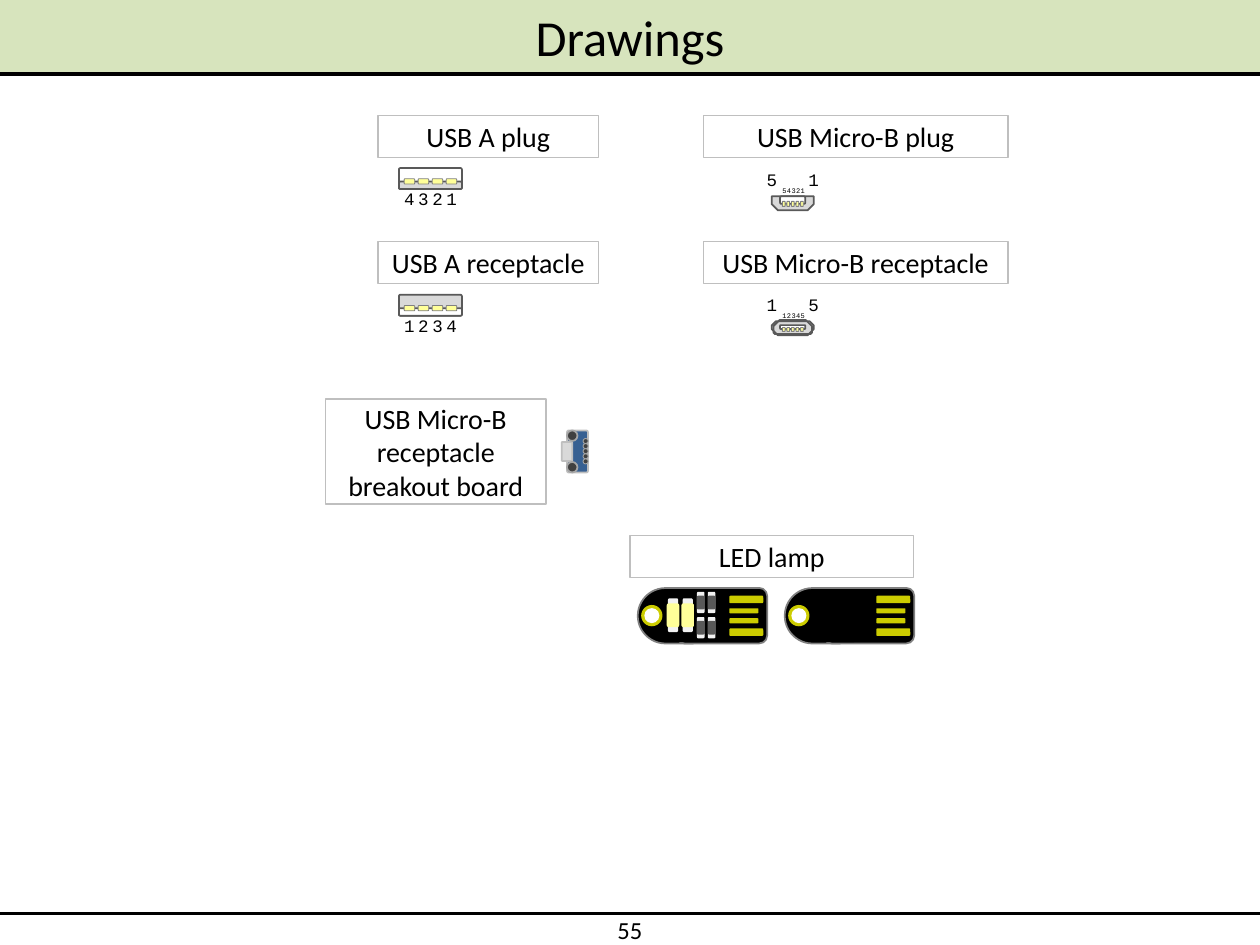
from dataclasses import dataclass
from pptx import Presentation
from pptx.dml.color import RGBColor
from pptx.enum.shapes import MSO_CONNECTOR, MSO_SHAPE as SHAPE
from pptx.enum.text import MSO_ANCHOR as ANCHOR, PP_ALIGN as ALIGN
from pptx.oxml.ns import qn
from pptx.util import Pt
from lxml.etree import SubElement


@dataclass(frozen=True)
class Theme:
    font: str = "Calibri"
    mono: str = "Courier New"
    title_size: float = 28.8
    label_size: float = 16
    number_size: float = 14
    digit_size: float = 10
    tiny_size: float = 4
    black: str = "000000"
    white: str = "FFFFFF"
    band: str = "D7E4BD"
    frame: str = "BFBFBF"
    metal: str = "D9D9D9"
    outline: str = "595959"
    contact: str = "FFFF99"
    edge: str = "808080"
    board: str = "376092"
    hole: str = "404040"
    hole_edge: str = "A6A6A6"
    gold: str = "CCCC00"
    cap: str = "F2F2F2"


T = Theme()


def rgb(color):
    return RGBColor.from_string(color)


def write(sp, text, size, font=T.font, wrap=True):
    tf = sp.text_frame
    tf.text = text
    tf.word_wrap = wrap
    tf.vertical_anchor = ANCHOR.MIDDLE
    tf.margin_left = tf.margin_top = tf.margin_right = tf.margin_bottom = 0
    for p in tf.paragraphs:
        p.alignment = ALIGN.CENTER
        p.font.name, p.font.size = font, Pt(size)
        p.font.color.rgb = rgb(T.black)


def add_shape(parent, kind, x, y, w, h, fill=None, line=None, weight=1, adj=()):
    sp = parent.shapes.add_shape(kind, Pt(x), Pt(y), Pt(w), Pt(h))
    sp.shadow.inherit = False
    if fill:
        sp.fill.solid()
        sp.fill.fore_color.rgb = rgb(fill)
    else:
        sp.fill.background()
    if line:
        sp.line.color.rgb = rgb(line)
        sp.line.width = Pt(weight)
    else:
        sp.line.fill.background()
    for i, value in enumerate(adj):
        sp.adjustments[i] = value
    return sp


def add_text(parent, text, x, y, w, h, size, font=T.mono):
    box = parent.shapes.add_textbox(Pt(x), Pt(y), Pt(w), Pt(h))
    write(box, text, size, font, wrap=False)


def add_label(slide, text, x, y, w, h=24):
    sp = add_shape(slide, SHAPE.RECTANGLE, x, y, w, h, T.white, T.frame)
    write(sp, text, T.label_size)


def add_rule(slide, y, weight):
    line = slide.shapes.add_connector(MSO_CONNECTOR.STRAIGHT, 0, Pt(y), Pt(720), Pt(y))
    line.line.color.rgb = rgb(T.black)
    line.line.width = Pt(weight)
    SubElement(line._element.spPr, qn("a:effectLst"))


def add_title(slide, text):
    title = slide.shapes.title
    title.left, title.top, title.width, title.height = 0, 0, Pt(720), Pt(41.8)
    title.fill.solid()
    title.fill.fore_color.rgb = rgb(T.band)
    write(title, text, T.title_size)


def add_usb_a(slide, top, digits, shell, tongue):
    group = slide.shapes.add_group_shape()
    add_shape(group, SHAPE.ROUNDED_RECTANGLE, 228, top, 36, 12, shell, T.outline, adj=[0.075])
    add_shape(group, SHAPE.ROUNDED_RECTANGLE, 228, top + 7.8, 36, 4.2, tongue, T.outline)
    for i, digit in enumerate(digits):
        x = 231 + 8 * i
        add_shape(group, SHAPE.ROUNDED_RECTANGLE, x, top + 6.2, 6, 3, T.contact, T.edge, 0.5)
        add_text(group, digit, x, top + 11.4, 6, 12, T.digit_size)


def add_micro_b(slide, top, digits, notch, cavity, contact, hood=False):
    group = slide.shapes.add_group_shape()
    shell = add_shape(group, SHAPE.SNIP_2_SAME_RECTANGLE, 441, top, 24, 8,
                      T.metal, T.outline, adj=[0.443, notch])
    shell.rotation = 180
    dy, h = cavity
    add_shape(group, SHAPE.ROUNDED_RECTANGLE, 445.8, top + dy, 14.4, h, T.white, T.outline)
    dy, h = contact
    for i, digit in enumerate(digits):
        x = 447.1 + 2.6 * i
        add_text(group, digit, x, top - 4.6, 1.5, 2.9, T.tiny_size)
        add_shape(group, SHAPE.ROUNDED_RECTANGLE, x, top + dy, 1.5, h, T.contact, T.edge, 0.5)
    if hood:
        add_shape(group, SHAPE.SNIP_2_SAME_RECTANGLE, 442, top - 0.7, 22, 8,
                  line=T.outline, adj=[0.443, 0.095])
    for x, digit in ((438, digits[0]), (462, digits[-1])):
        add_text(group, digit, x, top - 15.8, 6, 12, T.digit_size)


def add_breakout(slide, x, y):
    group = slide.shapes.add_group_shape()
    add_shape(group, SHAPE.ROUNDED_RECTANGLE, x, y, 12, 24, T.board, T.frame, adj=[0.079])
    add_shape(group, SHAPE.ROUNDED_RECTANGLE, x - 3, y + 6.6, 6, 10.8, T.metal, T.frame, adj=[0.079])
    for dy in (18, 0):
        add_shape(group, SHAPE.OVAL, x, y + dy, 6, 6, T.hole, T.hole_edge)
    for i in range(5):
        add_shape(group, SHAPE.OVAL, x + 9.2, y + 4.6 + 2.9 * i, 2.9, 2.9, T.hole, T.hole_edge, 0.5)


def add_lamp(slide, x, y, parts):
    group = slide.shapes.add_group_shape()

    def part(dx, dy, w, h, fill, kind=SHAPE.ROUNDED_RECTANGLE, **style):
        return add_shape(group, kind, x + dx, y + dy, w, h, fill, **style)

    part(0, 0, 31.7, 31.7, T.black, SHAPE.FLOWCHART_DELAY, line=T.edge).rotation = 180
    part(22.2, 0, 51.8, 31.7, T.black, line=T.edge, adj=[0.141])
    for dy in (13, 0.7):
        part(15.9, dy, 23.8, 18, T.black, SHAPE.RECTANGLE)
    for dy, w, h in ((4.4, 19.4, 4.3), (11.6, 16.6, 2.9), (17.3, 16.6, 2.9), (23.1, 19.4, 4.3)):
        part(52.4, dy, w, h, T.gold)
    if parts:
        for dx in (33.9, 40.1):
            for dy in (2.2, 16.6):
                part(dx, dy, 4.3, 12.2, T.cap)
                part(dx, dy + 2.2, 4.3, 7.8, T.outline)
        for dx in (17.3, 25.7):
            part(dx, 5.9, 5.8, 19.4, T.cap)
            part(dx - 0.7, 8.8, 7.2, 13.6, T.contact)
    part(2, 9.7, 12.2, 12.2, T.gold, SHAPE.OVAL)
    part(3.8, 11.5, 8.6, 8.6, T.white, SHAPE.OVAL)


def main():
    prs = Presentation()
    prs.slide_width, prs.slide_height = Pt(720), Pt(540)
    slide = prs.slides.add_slide(prs.slide_layouts[5])
    add_title(slide, "Drawings")
    add_rule(slide, 42.5, 2.25)
    add_rule(slide, 522, 2)
    add_text(slide, "55", 334, 522.7, 52, 17.3, T.number_size, T.font)

    for x, w, connector in ((216, 126, "USB A"), (402, 174, "USB Micro-B")):
        for y, side in ((66, "plug"), (138, "receptacle")):
            add_label(slide, f"{connector} {side}", x, y, w)
    add_label(slide, "USB Micro-B\nreceptacle\nbreakout board", 186, 228, 126, 60)
    add_label(slide, "LED lamp", 360, 306, 162)

    add_usb_a(slide, 96, "4321", T.white, T.metal)
    add_usb_a(slide, 168.4, "1234", T.metal, T.white)
    add_micro_b(slide, 112.2, "54321", 0, (0, 4.3), (2.9, 2.9))
    add_micro_b(slide, 183.6, "12345", 0.284, (2.2, 2.2), (3.6, 2.2), hood=True)
    add_breakout(slide, 324, 246)
    add_lamp(slide, 364.4, 336, parts=True)
    add_lamp(slide, 448.4, 336, parts=False)
    prs.save("out.pptx")


if __name__ == "__main__":
    main()
